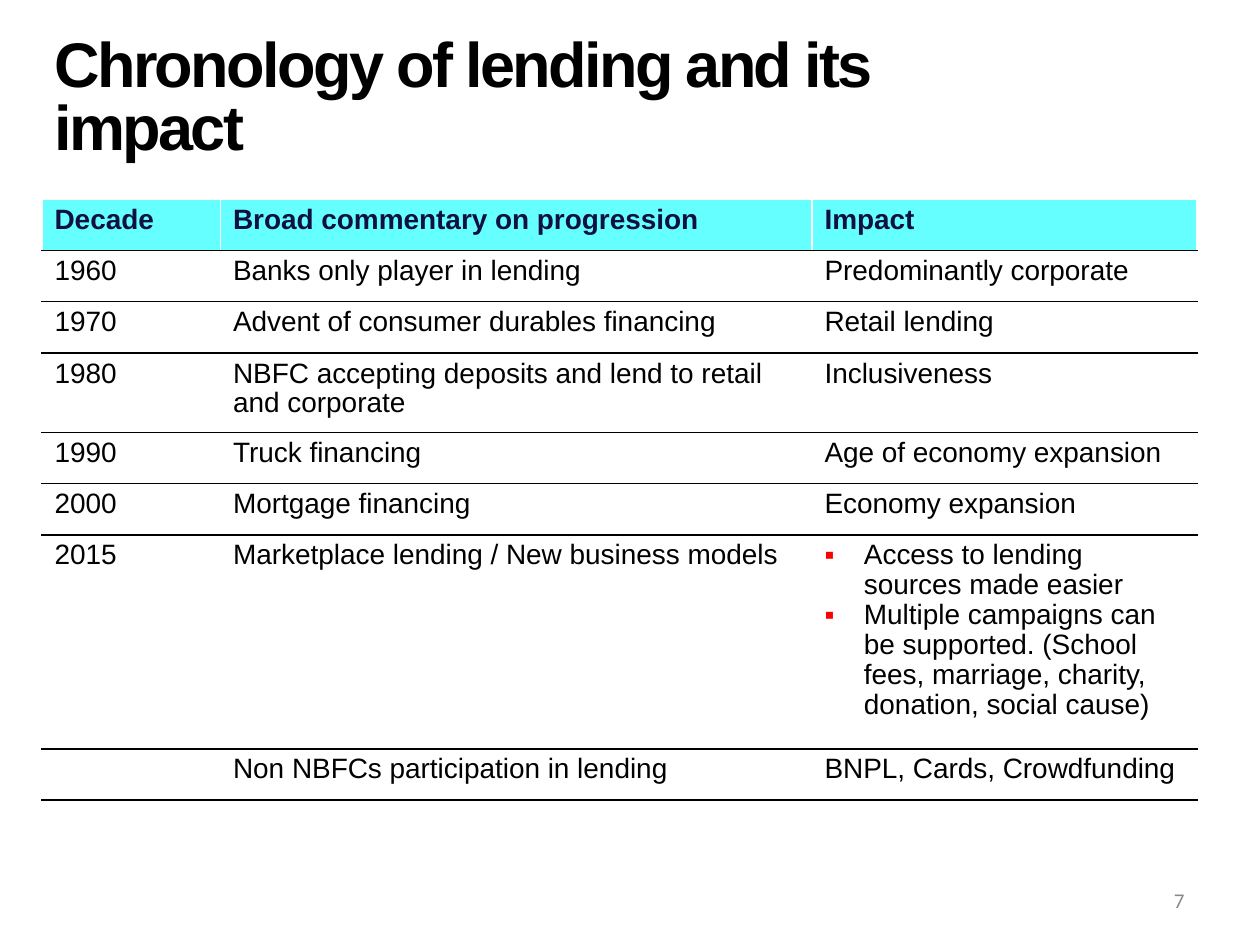
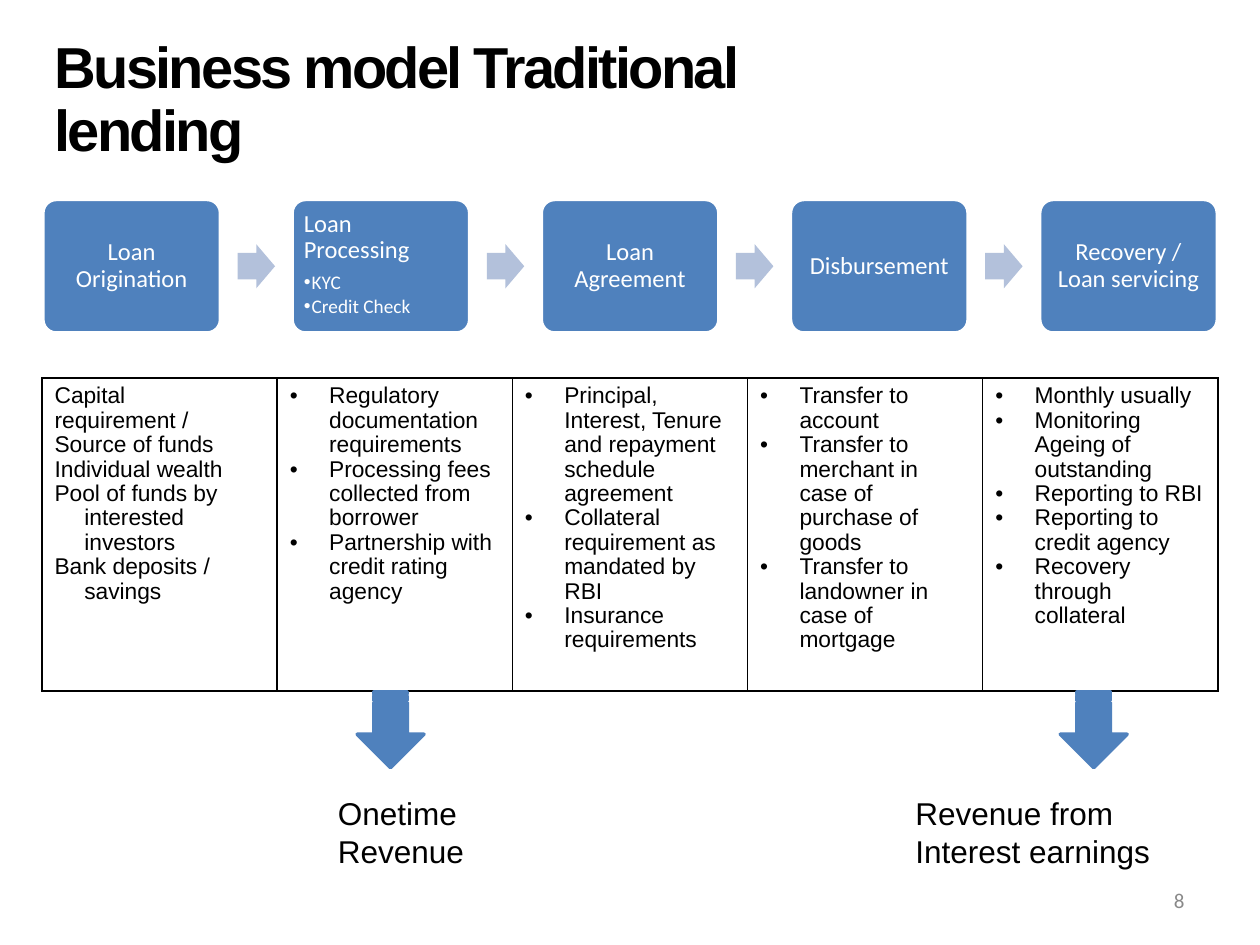
from lxml import etree
from pptx import Presentation
from pptx.dml.color import RGBColor
from pptx.enum.shapes import MSO_SHAPE
from pptx.enum.text import MSO_ANCHOR, PP_ALIGN
from pptx.oxml.ns import qn
from pptx.util import Pt

LEFT, CENTER, RIGHT = PP_ALIGN.LEFT, PP_ALIGN.CENTER, PP_ALIGN.RIGHT
TOP, MIDDLE = MSO_ANCHOR.TOP, MSO_ANCHOR.MIDDLE
ROUNDED, RIGHT_ARROW = MSO_SHAPE.ROUNDED_RECTANGLE, MSO_SHAPE.RIGHT_ARROW
STRIPED_ARROW = MSO_SHAPE.STRIPED_RIGHT_ARROW

BLACK = RGBColor(0x00, 0x00, 0x00)
WHITE = RGBColor(0xFF, 0xFF, 0xFF)
CYAN = RGBColor(0x66, 0xFF, 0xFF)
NAVY = RGBColor(0x10, 0x11, 0x41)
RED = RGBColor(0xFF, 0x00, 0x00)
BLUE = RGBColor(0x4F, 0x81, 0xBD)
PALE_BLUE = RGBColor(0xB3, 0xC1, 0xDB)
GRAY = RGBColor(0x89, 0x89, 0x89)

BODY_FONT, DIAGRAM_FONT = "Arial", "Calibri"
MARGIN = 24
TABLE_LINE_SPACING = 0.96

# Slide 7: a list in a cell is shown with bullets
CHRONOLOGY_HEADER = ("Decade", "Broad commentary on progression", "Impact")
CHRONOLOGY = [
    ("1960", "Banks only player in lending", "Predominantly corporate"),
    ("1970", "Advent of consumer durables financing", "Retail lending"),
    ("1980", "NBFC accepting deposits and lend to retail and corporate", "Inclusiveness"),
    ("1990", "Truck financing", "Age of economy expansion"),
    ("2000", "Mortgage financing", "Economy expansion"),
    ("2015", "Marketplace lending / New business models", [
        "Access to lending sources made easier",
        "Multiple campaigns can be supported. (School fees, marriage, charity, "
        "donation, social cause)",
    ]),
    ("", "Non NBFCs participation in lending", "BNPL, Cards, Crowdfunding"),
]
CHRONOLOGY_WIDTHS = (102, 338, 220)
ROW_HEIGHT = 29.2
TALL_ROWS = {"1980": 45.6, "2015": 122.3}

# Slide 8: each step has a name, sub-points and details
FUNDING_HEADING = "Capital requirement / Source of funds"
FUNDING_SOURCES = [
    "Individual wealth",
    "Pool of funds by interested investors",
    "Bank deposits / savings",
]
STEPS = [
    ("Loan Origination", [], []),
    ("Loan Processing", ["KYC", "Credit Check"], [
        "Regulatory documentation requirements",
        "Processing fees collected from borrower",
        "Partnership with credit rating agency",
    ]),
    ("Loan Agreement", [], [
        "Principal, Interest, Tenure and repayment schedule agreement",
        "Collateral requirement as mandated by RBI",
        "Insurance requirements",
    ]),
    ("Disbursement", [], [
        "Transfer to account",
        "Transfer to merchant in case of purchase of goods",
        "Transfer to landowner in case of mortgage",
    ]),
    ("Recovery / Loan servicing", [], [
        "Monthly usually",
        "Monitoring Ageing of outstanding",
        "Reporting to RBI",
        "Reporting to credit agency",
        "Recovery through collateral",
    ]),
]
# text, arrow left, text left, text width
REVENUES = [
    ("Onetime Revenue", 201.6, 186, 90),
    ("Revenue from Interest earnings", 603.4, 516, 180),
]


def write(frame, text, size, color=BLACK, font=BODY_FONT, bold=False, align=LEFT,
          line_spacing=None, space_after=None, hang=0, bullet=None,
          bullet_color=None, tracking=None):
    """Add one paragraph, or one for each item of a list, to a text frame."""
    for item in [text] if isinstance(text, str) else text:
        paragraph = frame.paragraphs[-1]
        if paragraph.runs:
            paragraph = frame.add_paragraph()
        paragraph.alignment = align
        if line_spacing:
            paragraph.line_spacing = line_spacing
        if space_after:
            paragraph.space_after = Pt(space_after)
        properties = paragraph._p.get_or_add_pPr()
        if hang:
            properties.set("marL", str(Pt(hang)))
            properties.set("indent", str(-Pt(hang)))
        if bullet:
            bullet_fill = etree.SubElement(properties, qn("a:buClr"))
            etree.SubElement(bullet_fill, qn("a:srgbClr"), val=str(bullet_color or color))
            etree.SubElement(properties, qn("a:buFont"), typeface=BODY_FONT)
            etree.SubElement(properties, qn("a:buChar"), char=bullet)
        run = paragraph.add_run()
        run.text = item
        run.font.name = font
        run.font.size = Pt(size)
        run.font.bold = bold
        run.font.color.rgb = color
        if tracking:
            run._r.get_or_add_rPr().set("spc", str(int(tracking * 100)))


def add_text(slide, text, left, top, width, height, size, anchor=TOP, **text_format):
    box = slide.shapes.add_textbox(Pt(left), Pt(top), Pt(width), Pt(height))
    box.text_frame.word_wrap = True
    box.text_frame.vertical_anchor = anchor
    write(box.text_frame, text, size, **text_format)


def add_shape(slide, kind, left, top, width, height, fill, line=None, adjustments=()):
    shape = slide.shapes.add_shape(kind, Pt(left), Pt(top), Pt(width), Pt(height))
    shape.shadow.inherit = False
    shape.fill.solid()
    shape.fill.fore_color.rgb = fill
    if line is None:
        shape.line.fill.background()
    else:
        shape.line.color.rgb = line
        shape.line.width = Pt(2)
    for index, value in enumerate(adjustments):
        shape.adjustments[index] = value
    return shape


def add_plain_table(slide, top, widths, heights):
    frame = slide.shapes.add_table(len(heights), len(widths), Pt(MARGIN), Pt(top),
                                   Pt(sum(widths)), Pt(sum(heights)))
    table = frame.table
    table.first_row = table.horz_banding = False
    for column, width in zip(table.columns, widths):
        column.width = Pt(width)
    for row, height in zip(table.rows, heights):
        row.height = Pt(height)
    return table


def style_cell(cell, fill, sides, top, bottom):
    """Set the fill of a cell and the colours of its borders."""
    properties = cell._tc.get_or_add_tcPr()
    for edge, color in (("lnL", sides), ("lnR", sides), ("lnT", top), ("lnB", bottom)):
        border = etree.SubElement(properties, qn(f"a:{edge}"), w=str(Pt(1)))
        solid = etree.SubElement(border, qn("a:solidFill"))
        etree.SubElement(solid, qn("a:srgbClr"), val=str(color))
    cell.fill.solid()
    cell.fill.fore_color.rgb = fill


def add_slide(presentation, title, title_size, number):
    slide = presentation.slides.add_slide(presentation.slide_layouts[6])
    add_text(slide, title, MARGIN, 12, 498, 90, title_size, anchor=MIDDLE,
             bold=True, line_spacing=Pt(36), tracking=-1.5)
    add_text(slide, str(number), 516, 500, 168, 29, 12, anchor=MIDDLE,
             font=DIAGRAM_FONT, color=GRAY, align=RIGHT)
    return slide


def build_chronology(presentation):
    slide = add_slide(presentation, "Chronology of lending and its impact", 36, 7)
    rows = [CHRONOLOGY_HEADER, *CHRONOLOGY]
    heights = [TALL_ROWS.get(row[0], ROW_HEIGHT) for row in rows]
    table = add_plain_table(slide, 114, CHRONOLOGY_WIDTHS, heights)
    for row_index, row in enumerate(rows):
        is_header = row_index == 0
        for column_index, text in enumerate(row):
            cell = table.cell(row_index, column_index)
            style_cell(cell, CYAN if is_header else WHITE, WHITE,
                       WHITE if is_header else BLACK, BLACK)
            bullets = {}
            if isinstance(text, list):
                bullets = {"hang": 22.5, "bullet": "▪", "bullet_color": RED}
            if text:
                write(cell.text_frame, text, 16, color=NAVY if is_header else BLACK,
                      bold=is_header, line_spacing=TABLE_LINE_SPACING, **bullets)


def add_process(slide):
    box_left, box_top, box_width, box_height, step = 24.5, 114, 101.5, 76.3, 142.4
    arrow_width, arrow_height = 21.4, 25.2
    arrow_offset = box_width + (step - box_width - arrow_width) / 2
    for index, (name, points, _) in enumerate(STEPS):
        left = box_left + index * step
        box = add_shape(slide, ROUNDED, left, box_top, box_width, box_height,
                        BLUE, line=WHITE, adjustments=(0.1,))
        frame = box.text_frame
        frame.word_wrap = True
        frame.margin_left = frame.margin_right = Pt(4.5)
        frame.margin_top = frame.margin_bottom = Pt(4.5)
        frame.vertical_anchor = TOP if points else MIDDLE
        shared = {"color": WHITE, "font": DIAGRAM_FONT, "line_spacing": 0.9}
        write(frame, name, 14, align=LEFT if points else CENTER, space_after=4.9, **shared)
        write(frame, points, 11, space_after=1.6, hang=4.5, bullet="•", **shared)
        if index < len(STEPS) - 1:
            add_shape(slide, RIGHT_ARROW, left + arrow_offset,
                      box_top + (box_height - arrow_height) / 2,
                      arrow_width, arrow_height, PALE_BLUE, adjustments=(0.6, 0.5))


def add_details(slide):
    table = add_plain_table(slide, 216, [672 / len(STEPS)] * len(STEPS), [178.8])
    for index, (_, _, details) in enumerate(STEPS):
        cell = table.cell(0, index)
        style_cell(cell, WHITE, BLACK, BLACK, BLACK)
        shared = {"size": 13, "line_spacing": TABLE_LINE_SPACING}
        if details:
            write(cell.text_frame, details, hang=22.5, bullet="•", **shared)
        else:
            cell.margin_right = Pt(20)
            write(cell.text_frame, FUNDING_HEADING, **shared)
            write(cell.text_frame, FUNDING_SOURCES, hang=17, **shared)


def build_business_model(presentation):
    slide = add_slide(presentation, "Business model Traditional lending", 33, 8)
    add_process(slide)
    add_details(slide)
    for text, arrow_left, text_left, text_width in REVENUES:
        arrow = add_shape(slide, STRIPED_ARROW, arrow_left, 398, 43.2, 38.2, BLUE,
                          line=BLUE, adjustments=(0.5, 0.5))
        arrow.rotation = 90
        add_text(slide, text, text_left, 450, text_width, 51, 18)


def main():
    presentation = Presentation()
    presentation.slide_width, presentation.slide_height = Pt(720), Pt(540)
    build_chronology(presentation)
    build_business_model(presentation)
    presentation.save("out.pptx")


if __name__ == "__main__":
    main()
